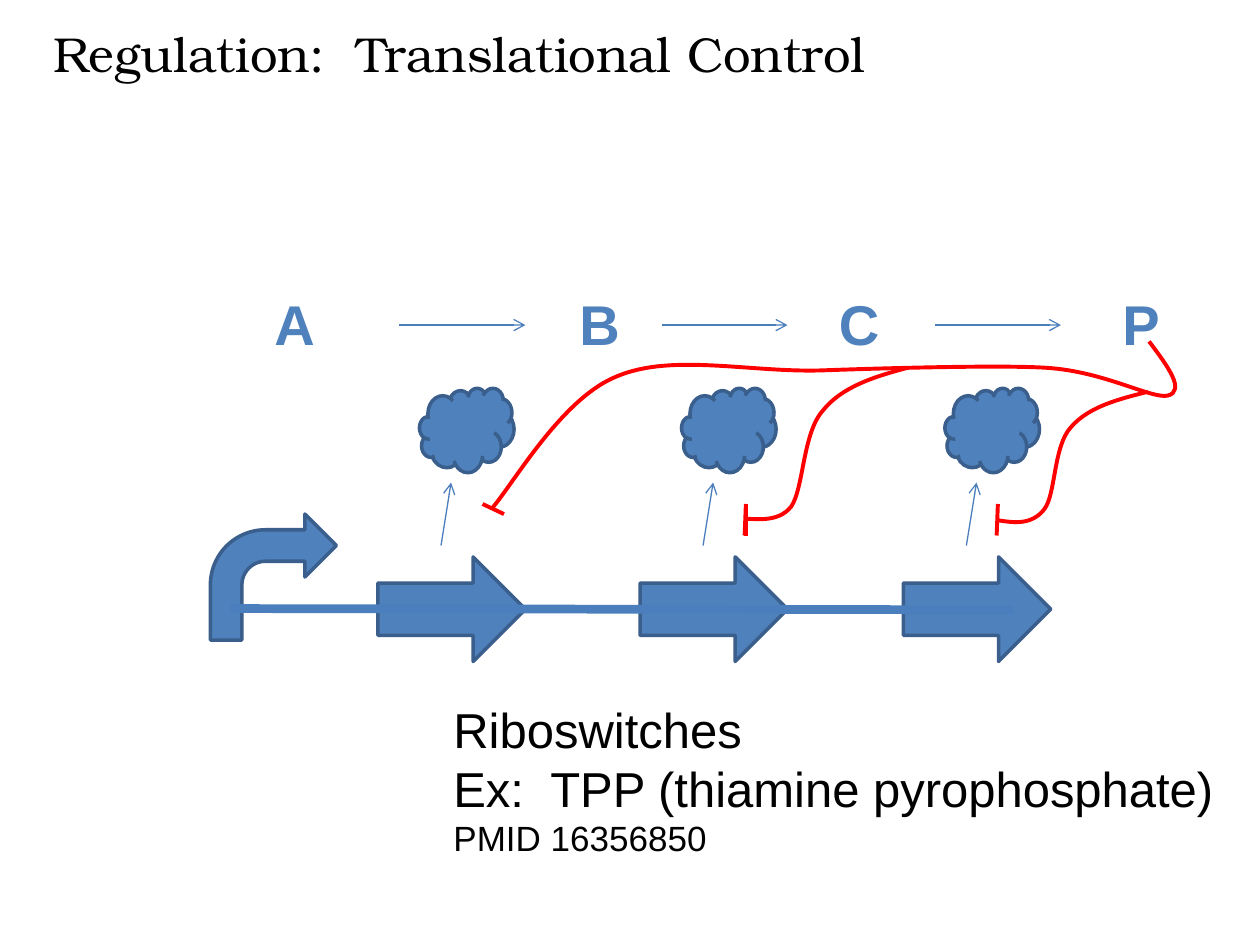
from lxml import etree
from pptx import Presentation
from pptx.dml.color import RGBColor
from pptx.enum.shapes import MSO_CONNECTOR, MSO_SHAPE
from pptx.enum.text import MSO_AUTO_SIZE
from pptx.oxml.ns import qn
from pptx.util import Inches, Pt

STRAIGHT = MSO_CONNECTOR.STRAIGHT
RIGHT_ARROW = MSO_SHAPE.RIGHT_ARROW
BENT_ARROW = MSO_SHAPE.BENT_ARROW
CLOUD = MSO_SHAPE.CLOUD
FIT_SHAPE = MSO_AUTO_SIZE.SHAPE_TO_FIT_TEXT

BLACK = RGBColor(0x00, 0x00, 0x00)
BLUE = RGBColor(0x4F, 0x81, 0xBD)
OUTLINE = RGBColor(0x3A, 0x5F, 0x8C)
LINE_BLUE = RGBColor(0x4B, 0x7E, 0xBC)
RED = RGBColor(0xFF, 0x00, 0x00)

THIN, MEDIUM, BOLD, THICK = 0.75, 2, 2.25, 5


def add_text(box, lines, font, color, bold=False, wrap=True):
    tf = s.shapes.add_textbox(*[Inches(v) for v in box]).text_frame
    tf.word_wrap = wrap
    tf.auto_size = FIT_SHAPE
    for i, (text, size) in enumerate(lines):
        p = tf.add_paragraph() if i else tf.paragraphs[0]
        p.text = text
        f = p.runs[0].font
        f.name, f.size, f.bold = font, Pt(size), bold
        f.color.rgb = color


def add_line(start, end, color, width, arrow=False):
    c = s.shapes.add_connector(STRAIGHT, *[Inches(v) for v in start + end])
    c.line.color.rgb = color
    c.line.width = Pt(width)
    sp_pr = c._element.spPr
    if arrow:
        etree.SubElement(sp_pr.find(qn("a:ln")), qn("a:tailEnd"), type="arrow")
    etree.SubElement(sp_pr, qn("a:effectLst"))


prs = Presentation()
prs.slide_width, prs.slide_height = Inches(10), Inches(7.5)
s = prs.slides.add_slide(prs.slide_layouts[6])

add_text((0.33, 0.14, 9.42, 0.57),
         [("Regulation:  Translational Control", 28)], "TeX Gyre Bonum", BLACK)

gene_lefts = [3, 5.08, 7.17]
genes = [(RIGHT_ARROW, x, 4.42, 1.17, 0.83) for x in gene_lefts]
promoter = (BENT_ARROW, 1.67, 4.08, 1, 1)
enzymes = [(CLOUD, x + 0.33, 3.08, 0.75, 0.67) for x in gene_lefts]
for kind, *box in [*genes, promoter, *enzymes]:
    sp = s.shapes.add_shape(kind, *[Inches(v) for v in box])
    sp.shadow.inherit = False
    sp.fill.solid()
    sp.fill.fore_color.rgb = BLUE
    sp.line.color.rgb = OUTLINE
    sp.line.width = Pt(MEDIUM)

add_line((1.83, 4.83), (8.04, 4.84), LINE_BLUE, THICK)

metabolites = {"A": 2.08, "B": 4.5, "C": 6.56, "P": 8.81}
for name, x in metabolites.items():
    add_text((x, 2.25, 0.53, 0.64), [(name, 32)], "Arial", BLUE, bold=True, wrap=False)

reaction_lefts = [3.17, 5.25, 7.42]
for x in reaction_lefts:
    add_line((x, 2.58), (x + 1, 2.58), LINE_BLUE, THIN, arrow=True)
for x in gene_lefts:
    add_line((x + 0.5, 4.33), (x + 0.58, 3.83), LINE_BLUE, THIN, arrow=True)

add_text((3.5, 5.5, 6.31, 1.38),
         [("Riboswitches", 28), ("Ex:  TPP (thiamine pyrophosphate)", 28),
          ("PMID 16356850", 20)], "Arial", BLACK)

inhibition_curves = [
    [(9.12, 2.71),
     (9.27, 2.91), (9.41, 3.1), (9.27, 3.14),
     (9.14, 3.17), (8.77, 2.95), (8.31, 2.92),
     (7.86, 2.89), (6.53, 2.94), (6.53, 2.94),
     (5.96, 2.96), (5.33, 2.8), (4.89, 2.99),
     (4.45, 3.17), (4.07, 3.85), (3.9, 4.04)],
    [(7.2, 2.92),
     (6.94, 2.99), (6.68, 3.07), (6.53, 3.26),
     (6.37, 3.44), (6.38, 3.87), (6.28, 4.02),
     (6.17, 4.16), (5.97, 4.11), (5.92, 4.12)],
    [(9.11, 3.11),
     (8.87, 3.17), (8.64, 3.23), (8.5, 3.39),
     (8.36, 3.54), (8.38, 3.92), (8.29, 4.04),
     (8.19, 4.17), (8.05, 4.15), (7.92, 4.13)],
]
for curve in inhibition_curves:
    start, *points = [(Inches(x), Inches(y)) for x, y in curve]
    fb = s.shapes.build_freeform(*start)
    fb.add_line_segments(points, close=False)
    sp = fb.convert_to_shape()
    sp.shadow.inherit = False
    sp.fill.background()
    sp.line.color.rgb = RED
    sp.line.width = Pt(BOLD)

    segments = list(sp._element.iter(qn("a:lnTo")))
    outline = segments[0].getparent()
    for i in range(0, len(segments), 3):
        bezier = etree.SubElement(outline, qn("a:cubicBezTo"))
        for segment in segments[i:i + 3]:
            bezier.append(segment[0])
            outline.remove(segment)

inhibition_bars = [
    ((3.83, 4), (4, 4.08)),
    ((5.92, 4), (5.91, 4.25)),
    ((5.92, 4), (5.92, 4.25)),
    ((7.92, 4), (7.91, 4.25)),
]
for start, end in inhibition_bars:
    add_line(start, end, RED, BOLD)

prs.save("out.pptx")
